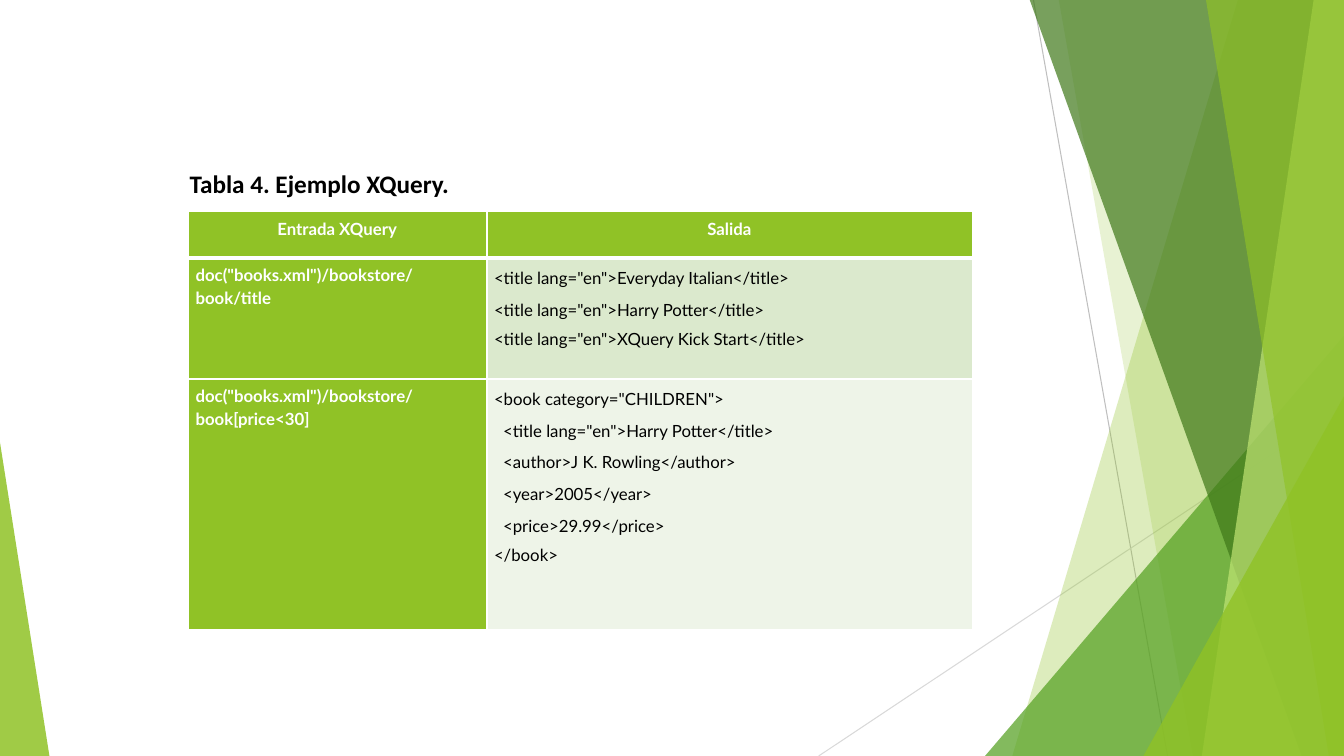
from dataclasses import dataclass

from pptx import Presentation
from pptx import util as u
from pptx.dml.color import RGBColor
from pptx.enum import shapes, text
from pptx.oxml import parse_xml
from pptx.oxml.ns import nsdecls, qn
from lxml import etree

IN = u.Inches
W, H = 13.33, 7.5


@dataclass(frozen=True)
class Theme:
    lime: str = "90C226"
    green: str = "54A021"
    forest: str = "3F7819"
    pale: str = "C0E474"
    band_dark: str = "DBE9CD"
    band_light: str = "EEF4E8"
    white: str = "FFFFFF"
    black: str = "000000"
    line_dark: str = "BFBFBF"
    line_light: str = "D9D9D9"
    caption_font: str = "Calibri"
    caption_size: float = 18
    table_font: str = "Lato"
    table_size: float = 12


class Deck:
    def __init__(self, theme):
        self.t = theme
        self.prs = Presentation()
        self.prs.slide_width, self.prs.slide_height = IN(W), IN(H)
        self.s = self.prs.slides.add_slide(self.prs.slide_layouts[6])

    def line(self, x1, y1, x2, y2, color):
        c = self.s.shapes.add_connector(
            shapes.MSO_CONNECTOR.STRAIGHT, IN(x1), IN(y1), IN(x2), IN(y2))
        c.line.color.rgb = RGBColor.from_string(color)
        c.line.width = u.Pt(0.75)
        etree.SubElement(c._element.spPr, qn("a:effectLst"))

    def tint(self, sp, color, alpha):
        sp.shadow.inherit = False
        sp.line.fill.background()
        sp.fill.solid()
        sp.fill.fore_color.rgb = RGBColor.from_string(color)
        clr = sp._element.spPr.find(qn("a:solidFill"))[0]
        etree.SubElement(clr, qn("a:alpha"), val=str(alpha * 1000))

    def blade(self, top_x, bottom_x, color, alpha):
        """Full-height panel from a slanted left side to the slide's right edge."""
        top = -0.01
        fb = self.s.shapes.build_freeform(IN(top_x), IN(top))
        corners = [(W, top), (W, H), (bottom_x, H)]
        fb.add_line_segments([(IN(x), IN(y)) for x, y in corners])
        self.tint(fb.convert_to_shape(), color, alpha)

    def triangle(self, x, y, w, apex, color, alpha):
        """Triangle standing on the slide's bottom edge."""
        sp = self.s.shapes.add_shape(
            shapes.MSO_SHAPE.ISOSCELES_TRIANGLE, IN(x), IN(y), IN(w), IN(H - y))
        sp.adjustments[0] = apex
        self.tint(sp, color, alpha)

    def style(self, p, font, size, color, bold, spacing=1.15, after=0):
        p.font.name, p.font.size, p.font.bold = font, u.Pt(size), bold
        p.font.color.rgb = RGBColor.from_string(color)
        p.line_spacing, p.space_after = spacing, u.Pt(after)

    def caption(self, x, y, w, h, words):
        tf = self.s.shapes.add_textbox(IN(x), IN(y), IN(w), IN(h)).text_frame
        tf.word_wrap = True
        tf.margin_left = IN(0.14)
        p = tf.paragraphs[0]
        p.text = words
        self.style(p, self.t.caption_font, self.t.caption_size, self.t.black, True)

    def cell(self, cell, lines, fill, color, bold, align, bottom):
        cell.margin_left, cell.margin_top = IN(0.07), IN(0.04)
        cell.margin_right, cell.margin_bottom = IN(0.08), 0
        tf = cell.text_frame
        for i, (words, indent) in enumerate(lines):
            p = tf.add_paragraph() if i else tf.paragraphs[0]
            p.text, p.alignment = words, align
            last = i == len(lines) - 1
            self.style(p, self.t.table_font, self.t.table_size, color, bold,
                       1.15 if last else 1.28, 0 if last else 4.3)
            if indent:
                p._p.get_or_add_pPr().set("marL", str(IN(indent)))
        cell.fill.solid()
        cell.fill.fore_color.rgb = RGBColor.from_string(fill)
        # Borders come before the fill in the cell properties
        tcPr = cell._tc.get_or_add_tcPr()
        for i, side in enumerate("LRTB"):
            width = u.Pt(bottom if side == "B" else 1)
            tcPr.insert(i, parse_xml(
                f'<a:ln{side} {nsdecls("a")} w="{width}"><a:solidFill>'
                f'<a:srgbClr val="{self.t.white}"/></a:solidFill></a:ln{side}>'))

    def table(self, x, y, widths, heights, header, rows, bands):
        t = self.t
        tb = self.s.shapes.add_table(
            len(heights), len(widths), IN(x), IN(y),
            IN(sum(widths)), IN(sum(heights))).table
        for col, w in zip(tb.columns, widths):
            col.width = IN(w)
        for row, h in zip(tb.rows, heights):
            row.height = IN(h)
        center, left = text.PP_ALIGN.CENTER, text.PP_ALIGN.LEFT
        for c, words in enumerate(header):
            self.cell(tb.cell(0, c), [(words, 0)], t.lime, t.white, True, center, 3)
        for r, ((query, output), band) in enumerate(zip(rows, bands), 1):
            self.cell(tb.cell(r, 0), [(query, 0)], t.lime, t.white, True, left, 1)
            self.cell(tb.cell(r, 1), output, band, t.black, False, left, 1)


def main():
    t = Theme()
    d = Deck(t)

    # Decorative facets
    d.line(10.25, 0, 11.58, H, t.line_dark)
    d.line(W, 4.03, 8.12, H, t.line_light)
    d.blade(12.28, 10.04, t.lime, 30)
    d.blade(10.5, 11.83, t.lime, 20)
    d.triangle(9.77, 3.33, 3.56, 1, t.green, 72)
    d.blade(10.21, 12.91, t.forest, 70)
    d.blade(13.03, 11.92, t.pale, 70)
    d.blade(11.96, 13.18, t.lime, 65)
    d.triangle(11.34, 3.93, 1.99, 1, t.lime, 80)
    d.triangle(0, 4.39, 0.49, 0, t.lime, 85)

    # Query table
    nested = 0.09
    titles = [(f'<title lang="en">{name}</title>', 0)
              for name in ("Everyday Italian", "Harry Potter", "XQuery Kick Start")]
    book = [
        ('<book category="CHILDREN">', 0),
        ('<title lang="en">Harry Potter</title>', nested),
        ("<author>J K. Rowling</author>", nested),
        ("<year>2005</year>", nested),
        ("<price>29.99</price>", nested),
        ("</book>", 0),
    ]
    d.table(1.87, 2.1, [2.96, 4.82], [0.46, 1.2, 2.49],
            ["Entrada XQuery", "Salida"],
            [('doc("books.xml")/bookstore/ book/title', titles),
             ('doc("books.xml")/bookstore/ book[price<30]', book)],
            [t.band_dark, t.band_light])

    # Caption
    d.caption(1.74, 1.58, 4.84, 0.45, "Tabla 4. Ejemplo XQuery.")

    d.prs.save("out.pptx")


if __name__ == "__main__":
    main()
